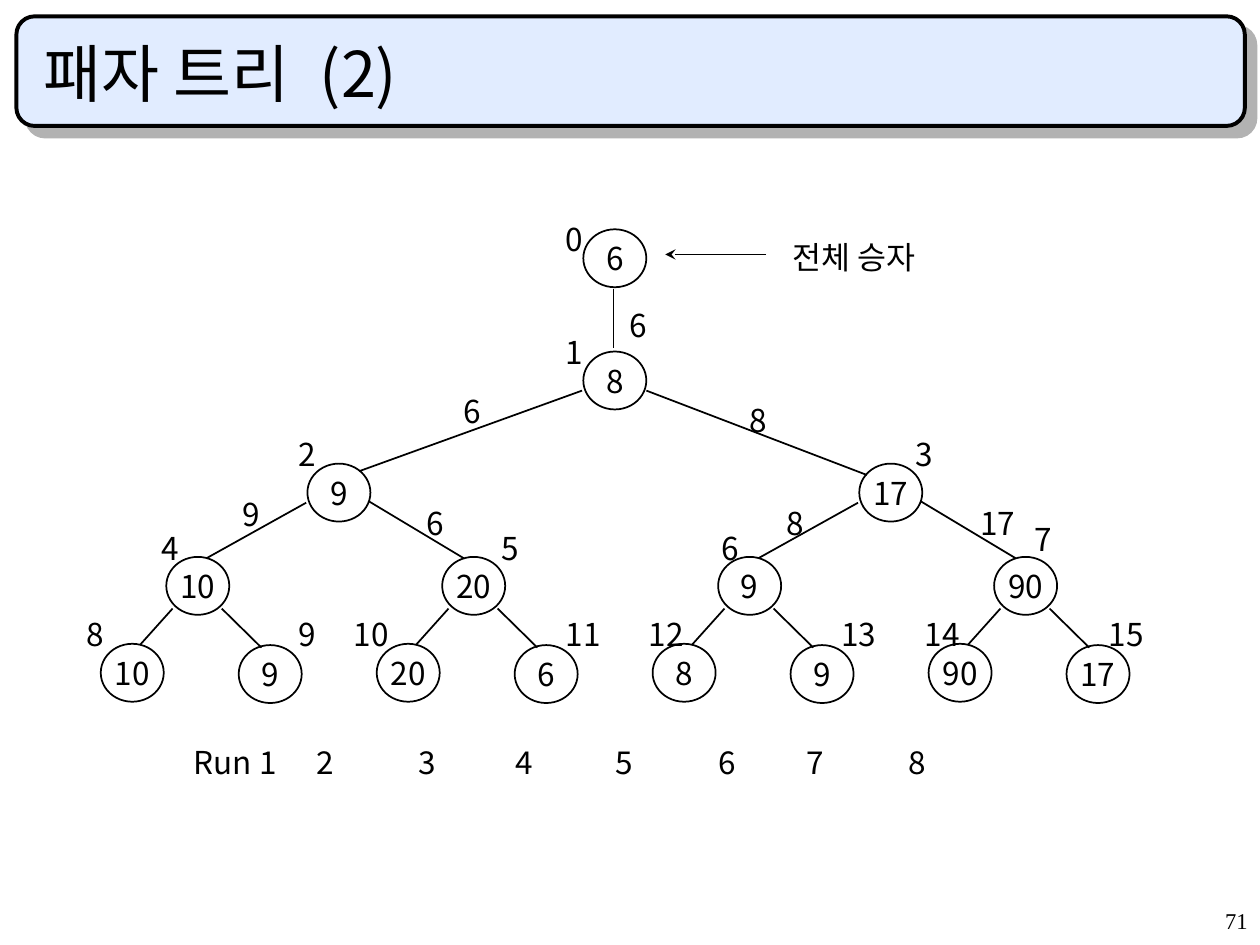
"""Build the slide on loser trees: a tournament of eight runs."""
from lxml import etree
from pptx import Presentation
from pptx.dml.color import RGBColor
from pptx.enum.shapes import MSO_CONNECTOR, MSO_SHAPE
from pptx.enum.text import MSO_ANCHOR, MSO_AUTO_SIZE, PP_ALIGN
from pptx.oxml.ns import qn
from pptx.util import Inches, Pt

COLORS = {"ink": "000000", "banner": "E1ECFF", "shadow": "B2B2B2"}
SANS, SERIF = "Noto Sans CJK KR", "Times New Roman"

TITLE = [("패자 트리", 0), (" ", 900), ("(2)", 0)]
WINNER = "전체 승자"
PAGE = "71"
RUN_ROW = ["Run 1", "2", "3", "4", "5", "6", "7", "8"]
RUN_TABS = [0.97, 1.78, 2.55, 3.35, 4.16, 4.86, 5.67]

NODE_VALUES = [6, 8, 9, 17, 10, 20, 9, 90, 10, 9, 20, 6, 8, 9, 90, 17]
INDEX_LEFTS = [4.39, 4.39, 2.27, 7.17, 1.18, 3.88, 5.63, 8.11,
               0.59, 2.27, 2.71, 4.39, 5.05, 6.58, 7.24, 8.7]
MATCH_WINNERS = [(6, 4.9, 2.38), (6, 3.58, 3.06), (8, 5.85, 3.13), (9, 1.83, 3.88),
                 (6, 3.29, 3.95), (8, 6.14, 3.95), (17, 7.68, 3.95)]

NODE_W, NODE_H = 0.5, 0.46
LEVELS = [
    {"left": 4.63, "step": 0, "top": 1.82, "index_top": 1.7},
    {"left": 4.63, "step": 0, "top": 2.79, "index_top": 2.59},
    {"left": 2.44, "step": 4.38, "top": 3.68, "index_top": 3.4},
    {"left": 1.32, "step": 2.19, "top": 4.42, "index_top": 4.15},
    {"left": 0.8, "step": 1.095, "top": 5.11, "index_top": 4.83},
]
EDGE_OFFSETS = {
    (1, 1): ((0.24, 0.47), (0.24, -0.03)),
    (2, 0): ((-0.01, 0.31), (0.41, 0.06)),
    (2, 1): ((0.5, 0.31), (0.06, 0.09)),
    (3, 0): ((-0.01, 0.31), (0.32, 0.01)),
    (3, 1): ((0.49, 0.3), (0.17, 0.01)),
    (4, 0): ((0.05, 0.41), (0.31, 0.01)),
    (4, 1): ((0.44, 0.41), (0.18, 0.02)),
}


def rgb(name):
    return RGBColor.from_string(COLORS[name])


def style_font(font, size=18, name=SANS):
    for key, value in {"size": Pt(size), "name": name}.items():
        setattr(font, key, value)
    font.color.rgb = rgb("ink")


def add_text(slide, text, left, top, width, height=0.4, size=18, name=SANS, **frame_format):
    frame = slide.shapes.add_textbox(*map(Inches, (left, top, width, height))).text_frame
    for key, value in {"word_wrap": False, **frame_format}.items():
        setattr(frame, key, value)
    paragraph = frame.paragraphs[0]
    for part, spacing in text if isinstance(text, list) else [(text, 0)]:
        run = paragraph.add_run()
        run.text = part
        style_font(run.font, size, name)
        ea = etree.SubElement(run.font._element, qn("a:ea"))
        ea.set("typeface", name)
        if spacing:
            run.font._element.set("spc", str(spacing))
    return paragraph


def add_label(slide, number, left, top):
    width = 0.35 if number < 10 else 0.49
    add_text(slide, str(number), left, top, width, auto_size=MSO_AUTO_SIZE.SHAPE_TO_FIT_TEXT)


def add_line(slide, start, end, head=None):
    line = slide.shapes.add_connector(MSO_CONNECTOR.STRAIGHT, *map(Inches, (*start, *end)))
    line.line.color.rgb = rgb("ink")
    line.line.width = Pt(1)
    if head:
        etree.SubElement(line.line._get_or_add_ln(), qn("a:tailEnd")).set("type", head)
    etree.SubElement(line._element.spPr, qn("a:effectLst"))


def add_banner(slide):
    banner = slide.shapes.add_shape(
        MSO_SHAPE.ROUNDED_RECTANGLE, *map(Inches, (0.13, 0.13, 9.75, 0.87)))
    banner.shadow.inherit = False
    banner.fill.solid()
    banner.fill.fore_color.rgb = rgb("banner")
    banner.line.color.rgb = rgb("ink")
    banner.line.width = Pt(2.25)
    effects = banner._element.spPr.find(qn("a:effectLst"))
    shadow = etree.SubElement(effects, qn("a:outerShdw"), dist=str(Pt(8.5)),
                              dir="2700000", algn="ctr", rotWithShape="0")
    etree.SubElement(shadow, qn("a:srgbClr"), val=COLORS["shadow"])
    add_text(slide, TITLE, 0.25, 0.25, 9.42, 0.67, size=36,
             word_wrap=True, vertical_anchor=MSO_ANCHOR.BOTTOM)


def node_place(index):
    depth = index.bit_length()
    level = LEVELS[depth]
    position = index - 2 ** (depth - 1) if index else 0
    drop = 0.01 if depth == 4 and index % 2 else 0
    return level["left"] + position * level["step"], level["top"] + drop


def add_node(slide, index, value):
    place = node_place(index)
    node = slide.shapes.add_shape(MSO_SHAPE.OVAL, *map(Inches, (*place, NODE_W, NODE_H)))
    node.shadow.inherit = False
    node.fill.background()
    node.line.color.rgb = rgb("ink")
    node.line.width = Pt(1)
    frame = node.text_frame
    for key, setting in {"word_wrap": False, "vertical_anchor": MSO_ANCHOR.MIDDLE}.items():
        setattr(frame, key, setting)
    paragraph = frame.paragraphs[0]
    paragraph.alignment = PP_ALIGN.CENTER
    run = paragraph.add_run()
    run.text = str(value)
    style_font(run.font)


def add_edge(slide, child):
    offsets = EDGE_OFFSETS[child.bit_length(), child % 2]
    start, end = [(x + dx, y + dy) for (x, y), (dx, dy)
                  in zip((node_place(child // 2), node_place(child)), offsets)]
    add_line(slide, start, end)


def add_run_row(slide):
    paragraph = add_text(slide, "\t".join(RUN_ROW), 1.44, 5.85, 6.82, word_wrap=True)
    tabs = etree.SubElement(paragraph._p.get_or_add_pPr(), qn("a:tabLst"))
    for stop in RUN_TABS:
        etree.SubElement(tabs, qn("a:tab"), pos=str(Inches(stop)), algn="l")


def main():
    deck = Presentation()
    deck.slide_width, deck.slide_height = Inches(10), Inches(7.5)
    slide = deck.slides.add_slide(deck.slide_layouts[6])
    add_banner(slide)
    page = add_text(slide, PAGE, 7.92, 7.17, 2.08, 0.33, 12.9, SERIF, word_wrap=True)
    for key, value in {"alignment": PP_ALIGN.RIGHT, "line_spacing": 0.9}.items():
        setattr(page, key, value)
    for index, (value, label_left) in enumerate(zip(NODE_VALUES, INDEX_LEFTS)):
        add_node(slide, index, value)
        if index:
            add_edge(slide, index)
        raised = 0.07 if index == 7 else 0
        add_label(slide, index, label_left, LEVELS[index.bit_length()]["index_top"] - raised)
    for winner in MATCH_WINNERS:
        add_label(slide, *winner)
    add_line(slide, (6.08, 2.02), (5.28, 2.02), "stealth")
    add_text(slide, WINNER, 6.19, 1.84, 1.19)
    add_run_row(slide)
    deck.save("out.pptx")


if __name__ == "__main__":
    main()
